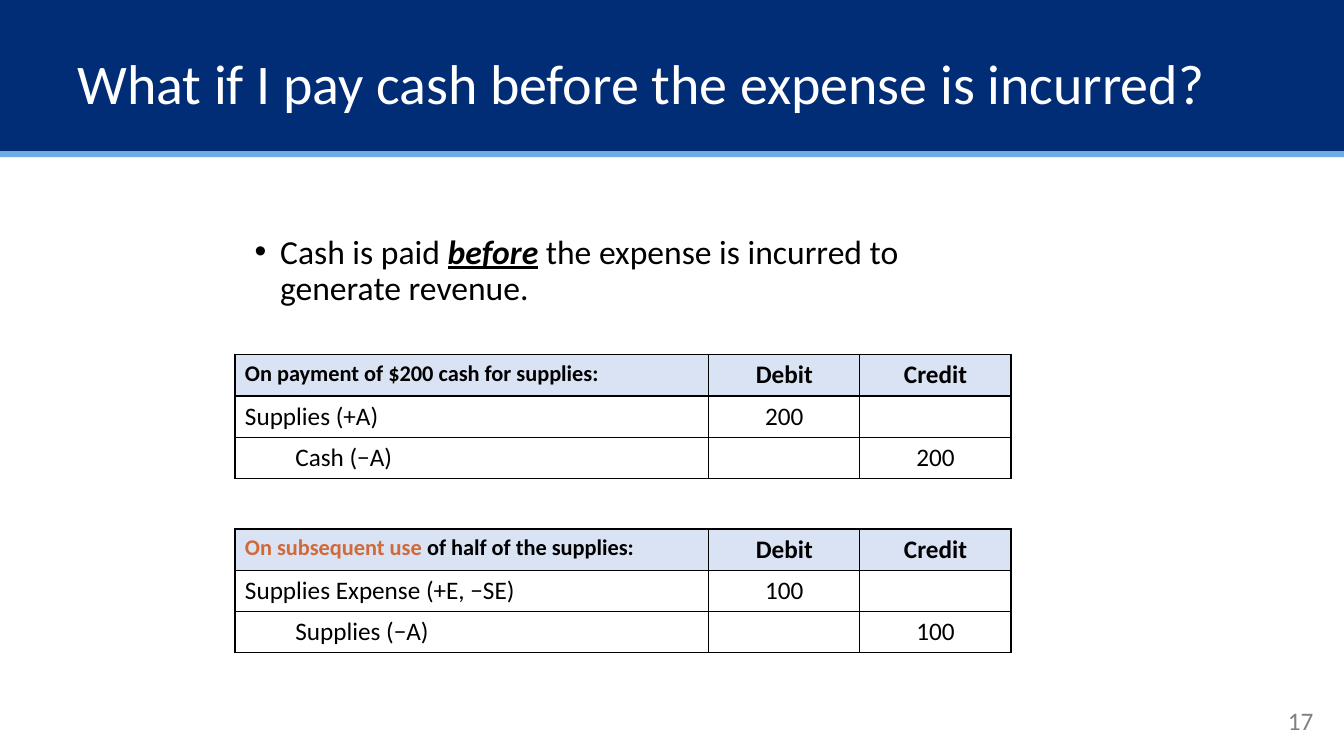
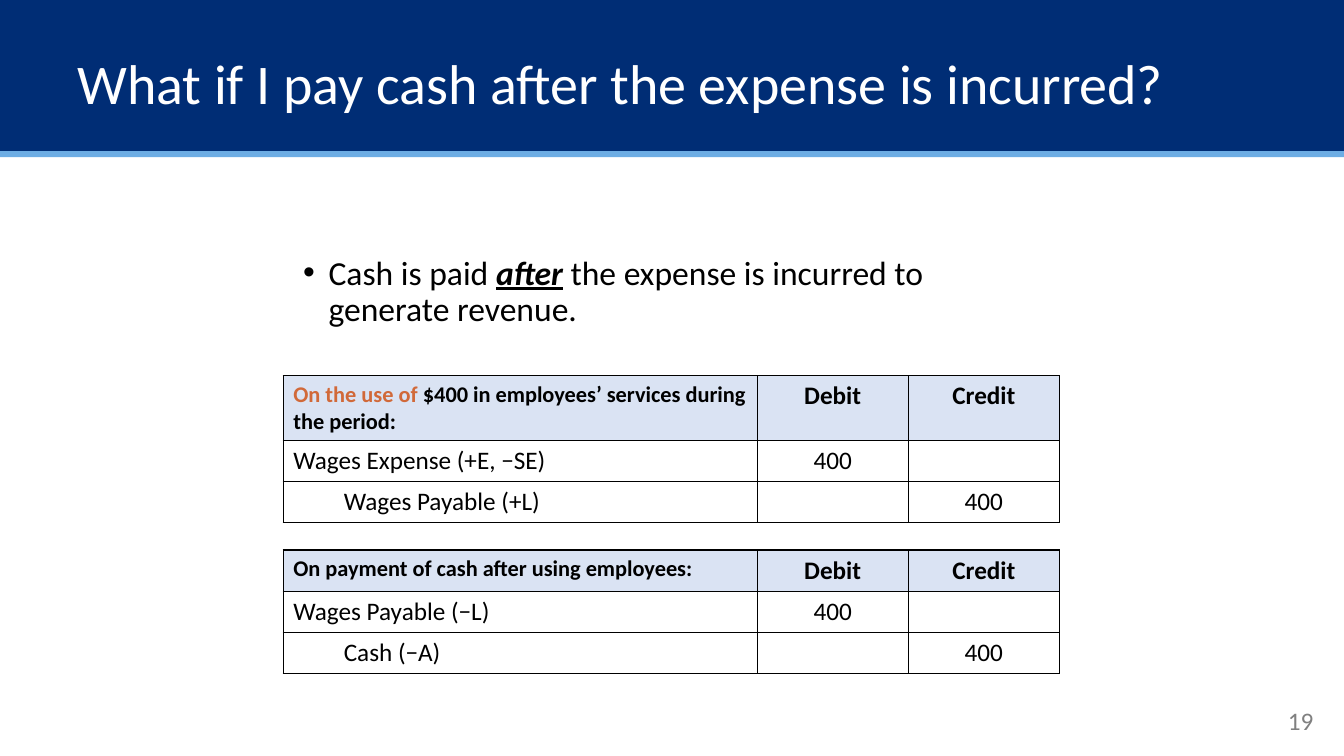
"""Build two slides on the timing of cash payments and expenses."""
from lxml import etree
from pptx import Presentation
from pptx.dml.color import RGBColor
from pptx.enum.shapes import MSO_SHAPE
from pptx.enum.text import MSO_ANCHOR, PP_ALIGN
from pptx.oxml.ns import qn
from pptx.util import Cm, Pt

RECTANGLE = MSO_SHAPE.RECTANGLE
TOP, MIDDLE = MSO_ANCHOR.TOP, MSO_ANCHOR.MIDDLE
LEFT, CENTER, RIGHT = PP_ALIGN.LEFT, PP_ALIGN.CENTER, PP_ALIGN.RIGHT

NAVY = RGBColor(0x00, 0x2D, 0x75)
SKY = RGBColor(0x6D, 0xAD, 0xE4)
PALE_BLUE = RGBColor(0xDA, 0xE3, 0xF3)
ORANGE = RGBColor(0xD1, 0x69, 0x39)
GRAY = RGBColor(0x80, 0x80, 0x80)
BLACK = RGBColor(0x00, 0x00, 0x00)
WHITE = RGBColor(0xFF, 0xFF, 0xFF)

FONT = "Calibri"
SLIDE_WIDTH, SLIDE_HEIGHT = Cm(33.87), Cm(19.05)
BANDS = [(Cm(0), Cm(3.81), NAVY), (Cm(3.81), Cm(0.15), SKY)]
COLUMN_WIDTHS = [Cm(11.94), Cm(3.81), Cm(3.81)]
ROW_HEIGHT, TALL_ROW_HEIGHT = Cm(1.04), Cm(1.62)
TABLE_PITCH = Cm(4.39)
BULLET_RISE, BULLET_SHIFT = Cm(3.14), Cm(0.25)
BULLET_INDENT, CREDIT_INDENT = Cm(0.64), Cm(1.27)

SLIDES = [
    {
        "timing": "before", "number": "17", "left": Cm(5.92), "top": Cm(8.94),
        "entries": [
            ("", "On payment of $200 cash for supplies:",
             "Supplies (+A)", "Cash (−A)", "200", ROW_HEIGHT),
            ("On subsequent use ", "of half of the supplies:",
             "Supplies Expense (+E, −SE)", "Supplies (−A)", "100", ROW_HEIGHT),
        ],
    },
    {
        "timing": "after", "number": "19", "left": Cm(7.14), "top": Cm(9.47),
        "entries": [
            ("On the use of ", "$400 in employees’ services during the period:",
             "Wages Expense (+E, −SE)", "Wages Payable (+L)", "400", TALL_ROW_HEIGHT),
            ("", "On payment of cash after using employees:",
             "Wages Payable (−L)", "Cash (−A)", "400", ROW_HEIGHT),
        ],
    },
]


def add_run(paragraph, text, size, color=BLACK, bold=False):
    run = paragraph.add_run()
    run.text = text
    run.font.name = FONT
    run.font.size = Pt(size)
    run.font.color.rgb = color
    run.font.bold = bold
    return run


def add_text_box(slide, left, top, width, height, anchor):
    frame = slide.shapes.add_textbox(left, top, width, height).text_frame
    frame.word_wrap = True
    frame.vertical_anchor = anchor
    return frame.paragraphs[0]


presentation = Presentation()
presentation.slide_width = SLIDE_WIDTH
presentation.slide_height = SLIDE_HEIGHT
blank_layout = presentation.slide_layouts[6]

for content in SLIDES:
    slide = presentation.slides.add_slide(blank_layout)
    left, top, timing = content["left"], content["top"], content["timing"]

    for band_top, band_height, color in BANDS:
        band = slide.shapes.add_shape(RECTANGLE, 0, band_top, SLIDE_WIDTH, band_height)
        band.shadow.inherit = False
        band.fill.solid()
        band.fill.fore_color.rgb = color
        band.line.fill.background()

    number = add_text_box(slide, Cm(25.73), Cm(17.65), Cm(7.62), Cm(1.02), MIDDLE)
    number.alignment = RIGHT
    add_run(number, content["number"], 18, GRAY)

    title = add_text_box(slide, Cm(1.7), Cm(1.4), Cm(29.4), Cm(1.57), MIDDLE)
    title.line_spacing = 0.9
    add_run(title, f"What if I pay cash {timing} the expense is incurred?", 40, WHITE)

    bullet = add_text_box(slide, left + BULLET_SHIFT, top - BULLET_RISE,
                          Cm(19.05), Cm(2.11), TOP)
    bullet.line_spacing = 0.9
    properties = bullet._p.get_or_add_pPr()
    properties.set("marL", str(BULLET_INDENT))
    properties.set("indent", str(-BULLET_INDENT))
    etree.SubElement(properties, qn("a:buFont"), typeface="Arial")
    etree.SubElement(properties, qn("a:buChar"), char="•")
    add_run(bullet, "Cash is paid ", 24)
    emphasis = add_run(bullet, timing, 24, bold=True)
    emphasis.font.italic = True
    emphasis.font.underline = True
    add_run(bullet, " the expense is incurred to generate revenue.", 24)

    for index, entry in enumerate(content["entries"]):
        highlight, heading, debit, credit, amount, header_height = entry
        heights = [header_height, ROW_HEIGHT, ROW_HEIGHT]
        table = slide.shapes.add_table(
            3, 3, left, top + index * TABLE_PITCH, sum(COLUMN_WIDTHS), sum(heights)).table
        table.horz_banding = False
        for column, width in zip(table.columns, COLUMN_WIDTHS):
            column.width = width
        for row, height in zip(table.rows, heights):
            row.height = height

        rows = [
            [heading, "Debit", "Credit"],
            [debit, amount, ""],
            [credit, "", amount],
        ]
        for row_index, texts in enumerate(rows):
            is_header = row_index == 0
            for column_index, text in enumerate(texts):
                cell = table.cell(row_index, column_index)
                cell_properties = cell._tc.get_or_add_tcPr()
                for side in ("a:lnL", "a:lnR", "a:lnT", "a:lnB"):
                    border = etree.SubElement(cell_properties, qn(side), w=str(Pt(1)))
                    border_fill = etree.SubElement(border, qn("a:solidFill"))
                    etree.SubElement(border_fill, qn("a:srgbClr"), val=str(BLACK))
                cell.fill.solid()
                cell.fill.fore_color.rgb = PALE_BLUE if is_header else WHITE

                paragraph = cell.text_frame.paragraphs[0]
                paragraph.alignment = CENTER if column_index else LEFT
                size = 16 if is_header and column_index == 0 else 18
                if is_header and column_index == 0 and highlight:
                    add_run(paragraph, highlight, size, ORANGE, True)
                if text:
                    add_run(paragraph, text, size, bold=is_header)
        credit_paragraph = table.cell(2, 0).text_frame.paragraphs[0]
        credit_paragraph._p.get_or_add_pPr().set("marL", str(CREDIT_INDENT))

presentation.save("out.pptx")
